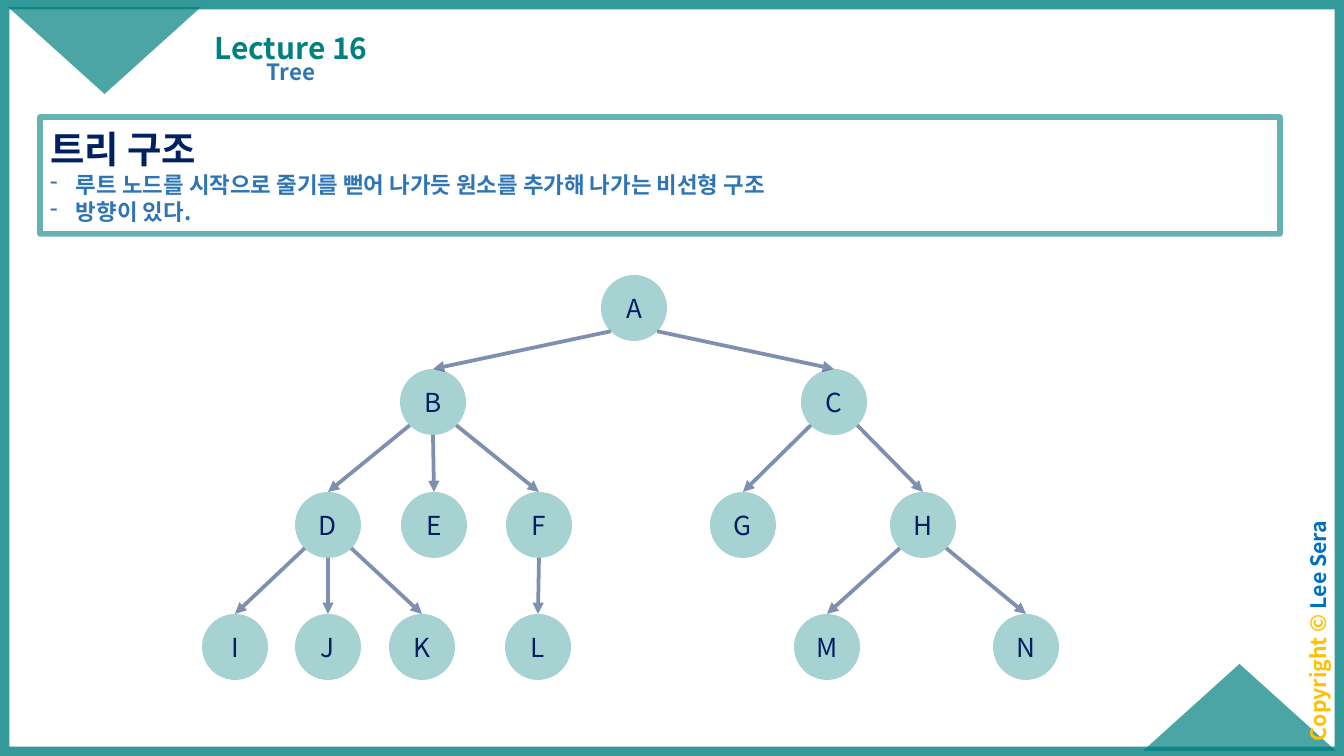
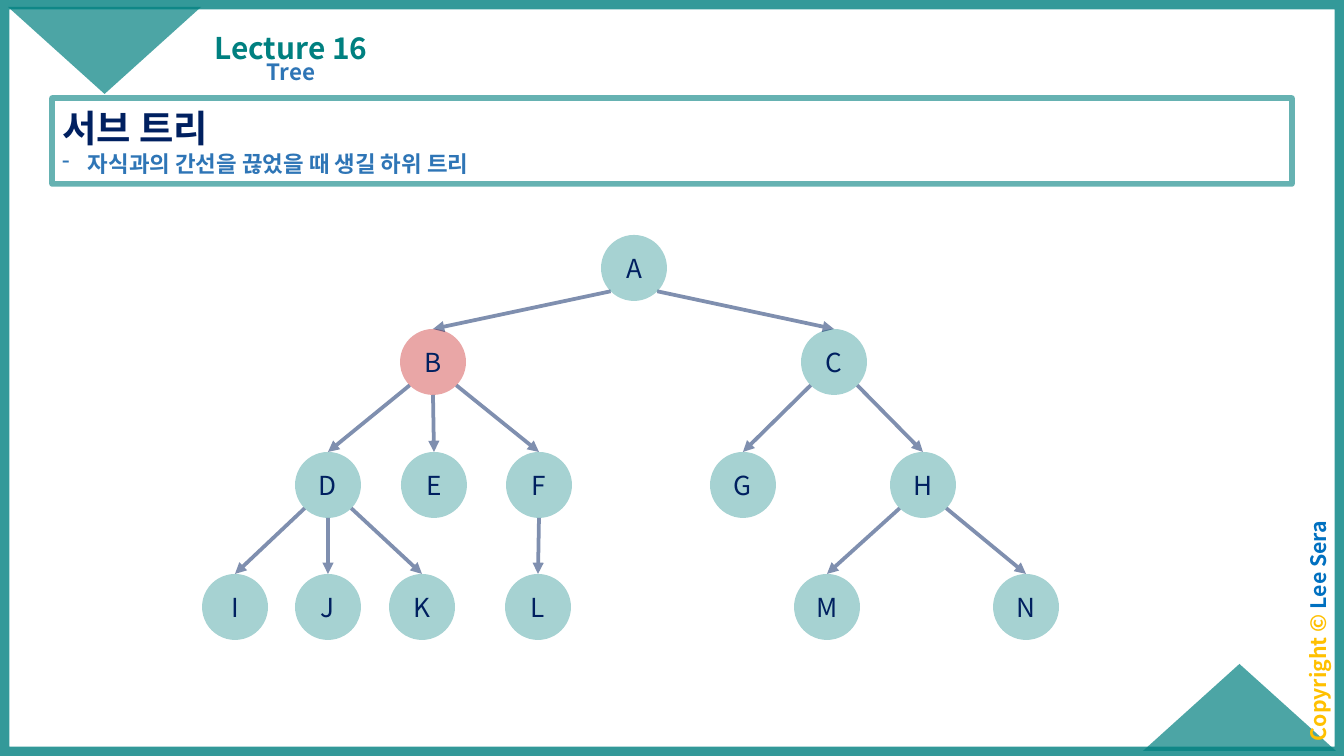
import math

import pptx
import pptx.dml.color
import pptx.enum.shapes
import pptx.enum.text
import pptx.oxml
import pptx.oxml.ns
import pptx.util

RGB = pptx.dml.color.RGBColor
SHAPE = pptx.enum.shapes.MSO_SHAPE
ALIGN = pptx.enum.text.PP_ALIGN
ANCHOR = pptx.enum.text.MSO_ANCHOR
qn = pptx.oxml.ns.qn

TEAL = RGB(0x00, 0x80, 0x80)
NAVY = RGB(0x00, 0x20, 0x60)
BLUE = RGB(0x2E, 0x75, 0xB6)
BRIGHT_BLUE = RGB(0x00, 0x70, 0xC0)
GOLD = RGB(0xFF, 0xC0, 0x00)
RED = RGB(0xC0, 0x00, 0x00)
FONT = "Noto Sans CJK KR"

EMU_PER_PX = 914400 / 134.4
SLIDE_W, SLIDE_H = 1344, 756
INSET_X, INSET_Y = 10, 5
BULLET_INDENT = 26

# Each node: left edge within the tree, level, and children.
NODE_SIZE = 66
LEVEL_TOPS = (0, 94, 217, 339)
NODES = {
    "A": (399, 0, "BC"),
    "B": (198, 1, "DEF"), "C": (599, 1, "GH"),
    "D": (93, 2, "IJK"), "E": (199, 2, ""), "F": (304, 2, "L"),
    "G": (508, 2, ""), "H": (688, 2, "MN"),
    "I": (0, 3, ""), "J": (93, 3, ""), "K": (187, 3, ""),
    "L": (303, 3, ""), "M": (592, 3, ""), "N": (791, 3, ""),
}


def px(*lengths):
    """Turn pixel lengths into EMU."""
    return [pptx.util.Emu(round(length * EMU_PER_PX)) for length in lengths]


def add_xml(parent, tag, **attributes):
    """Append a DrawingML element to parent."""
    child = pptx.oxml.parse_xml(f"<{tag} {pptx.oxml.ns.nsdecls('a')}/>")
    for key, value in attributes.items():
        child.set(key, str(value))
    parent.append(child)


def set_opacity(shape, percent):
    """Make the explicit colours of a shape partly transparent."""
    for colour in shape._element.spPr.iter(qn("a:srgbClr")):
        add_xml(colour, "a:alpha", val=percent * 1000)


def add_run(paragraph, text, size, colour, bold=True):
    """Add one run in the deck's font."""
    run = paragraph.add_run()
    run.text = text
    run.font.size = pptx.util.Pt(size)
    run.font.bold = bold
    run.font.color.rgb = colour
    run.font.name = FONT
    add_xml(run._r.get_or_add_rPr(), "a:ea", typeface=FONT)


def format_paragraph(paragraph, align, spacing=1.0, before=0):
    """Set alignment, line spacing and space before."""
    paragraph.alignment = align
    paragraph.line_spacing = spacing
    paragraph.space_before = pptx.util.Pt(before)
    return paragraph


def prepare_frame(shape, anchor):
    """Give a shape's text frame the deck's insets, and return it."""
    frame = shape.text_frame
    frame.word_wrap = True
    frame.auto_size = pptx.enum.text.MSO_AUTO_SIZE.NONE
    frame.vertical_anchor = anchor
    frame.margin_left, frame.margin_right = px(INSET_X, INSET_X)
    frame.margin_top, frame.margin_bottom = px(INSET_Y, INSET_Y)
    return frame


def add_filled(shapes, kind, box, colour, opacity):
    """Add a borderless translucent shape."""
    shape = shapes.add_shape(kind, *px(*box))
    shape.shadow.inherit = False
    shape.fill.solid()
    shape.fill.fore_color.rgb = colour
    shape.line.fill.background()
    set_opacity(shape, opacity)
    return shape


def add_outline(shapes, box, width, opacity):
    """Add an unfilled teal rectangle."""
    outline = shapes.add_shape(SHAPE.RECTANGLE, *px(*box))
    outline.shadow.inherit = False
    outline.fill.background()
    outline.line.color.rgb = TEAL
    outline.line.width = pptx.util.Pt(width)
    set_opacity(outline, opacity)
    return outline


def add_border(slide, box):
    """Draw the slide border, its two corner triangles and the copyright."""
    left, top, width, height = box
    add_outline(slide.shapes, box, 10, 80)
    triangle_w, triangle_h = 193, 87
    add_filled(slide.shapes, SHAPE.ISOSCELES_TRIANGLE,
               (left + width - 201, top + height - 92, triangle_w, triangle_h), TEAL, 70)
    corner = add_filled(slide.shapes, SHAPE.ISOSCELES_TRIANGLE,
                        (left + 8, top + 7, triangle_w, triangle_h), TEAL, 70)
    corner.rotation = 180

    rights = slide.shapes.add_textbox(*px(left + width - 145, top + height - 142, 250, 34))
    rights.rotation = 270
    frame = prepare_frame(rights, ANCHOR.TOP)
    line = format_paragraph(frame.paragraphs[0], ALIGN.CENTER, 0.7, 10)
    add_run(line, "Copyright © ", 11.4, GOLD)
    add_run(line, "Lee Sera", 11.4, BRIGHT_BLUE)


def add_heading(slide, box):
    """Place the lecture title and the topic under it."""
    left, top, width, height = box
    lecture = slide.shapes.title
    lecture.left, lecture.top, lecture.width, lecture.height = px(left + 40, top, 206, 63)
    frame = prepare_frame(lecture, ANCHOR.BOTTOM)
    add_run(format_paragraph(frame.paragraphs[0], ALIGN.CENTER, 0.9), "Lecture 16", 16, TEAL)

    topic = slide.shapes.add_textbox(*px(left, top + height - 46, width, 46))
    frame = prepare_frame(topic, ANCHOR.TOP)
    add_run(format_paragraph(frame.paragraphs[0], ALIGN.CENTER, 0.9, 7.5), "Tree", 12, BLUE)


def add_definition(slide, box, term, points):
    """Draw the framed term with its dashed points."""
    frame = prepare_frame(add_outline(slide.shapes, box, 3, 60), ANCHOR.MIDDLE)
    add_run(format_paragraph(frame.paragraphs[0], ALIGN.LEFT), term, 20, NAVY)
    for point in points:
        paragraph = format_paragraph(frame.add_paragraph(), ALIGN.LEFT)
        properties = paragraph._p.get_or_add_pPr()
        indent = px(BULLET_INDENT)[0]
        properties.set("marL", str(indent))
        properties.set("indent", str(-indent))
        add_xml(properties, "a:buFontTx")
        add_xml(properties, "a:buChar", char="-")
        add_run(paragraph, point, 12, BLUE)


def add_node(shapes, box, letter, colour):
    """Draw one lettered circle."""
    node = add_filled(shapes, SHAPE.OVAL, box, colour, 35)
    node.text_frame.vertical_anchor = ANCHOR.MIDDLE
    line = format_paragraph(node.text_frame.paragraphs[0], ALIGN.CENTER)
    add_run(line, letter, 14, NAVY, bold=False)
    return node


def add_edge(shapes, parent_box, child_box, child):
    """Draw an arrow from the parent's rim to the top of the child."""
    radius = NODE_SIZE / 2
    parent_x, parent_y = parent_box[0] + radius, parent_box[1] + radius
    child_x = child_box[0] + radius
    shift = child_x - parent_x
    if abs(shift) < 5:
        start = (parent_x, parent_y + radius)
    else:
        reach = radius * math.sqrt(0.5)
        start = (parent_x + math.copysign(reach, shift), parent_y + reach)
    edge = shapes.add_connector(pptx.enum.shapes.MSO_CONNECTOR.STRAIGHT,
                                *px(*start, child_x, child_box[1]))
    edge.end_connect(child, 0)
    edge.line.color.rgb = NAVY
    edge.line.width = pptx.util.Pt(2)
    set_opacity(edge, 50)
    properties = edge._element.spPr
    add_xml(properties.find(qn("a:ln")), "a:tailEnd", type="triangle")
    add_xml(properties, "a:effectLst")


def add_tree(slide, left, top, highlighted):
    """Draw the grouped tree, with the highlighted nodes in red."""
    shapes = slide.shapes.add_group_shape().shapes
    boxes = {letter: (left + x, top + LEVEL_TOPS[level], NODE_SIZE, NODE_SIZE)
             for letter, (x, level, _) in NODES.items()}
    circles = {letter: add_node(shapes, box, letter, RED if letter in highlighted else TEAL)
               for letter, box in boxes.items()}
    for letter, (_, _, children) in NODES.items():
        for child in children:
            add_edge(shapes, boxes[letter], boxes[child], circles[child])


def add_tree_slide(deck, definition_box, term, points, tree_top, highlighted=""):
    """Add a slide with a definition above a tree."""
    slide = deck.slides.add_slide(deck.slide_layouts[5])
    add_border(slide, (0, 0, SLIDE_W, SLIDE_H))
    add_definition(slide, definition_box, term, points)
    add_heading(slide, (148, 8, 286, 94))
    add_tree(slide, 202, tree_top, highlighted)


deck = pptx.Presentation()
deck.slide_width, deck.slide_height = px(SLIDE_W, SLIDE_H)
add_tree_slide(deck, (40, 117, 1240, 117), "트리 구조",
               ["루트 노드를 시작으로 줄기를 뻗어 나가듯 원소를 추가해 나가는 비선형 구조",
                "방향이 있다."], 275)
add_tree_slide(deck, (52, 98, 1240, 86), "서브 트리",
               ["자식과의 간선을 끊었을 때 생길 하위 트리"], 235, "B")
deck.save("out.pptx")
